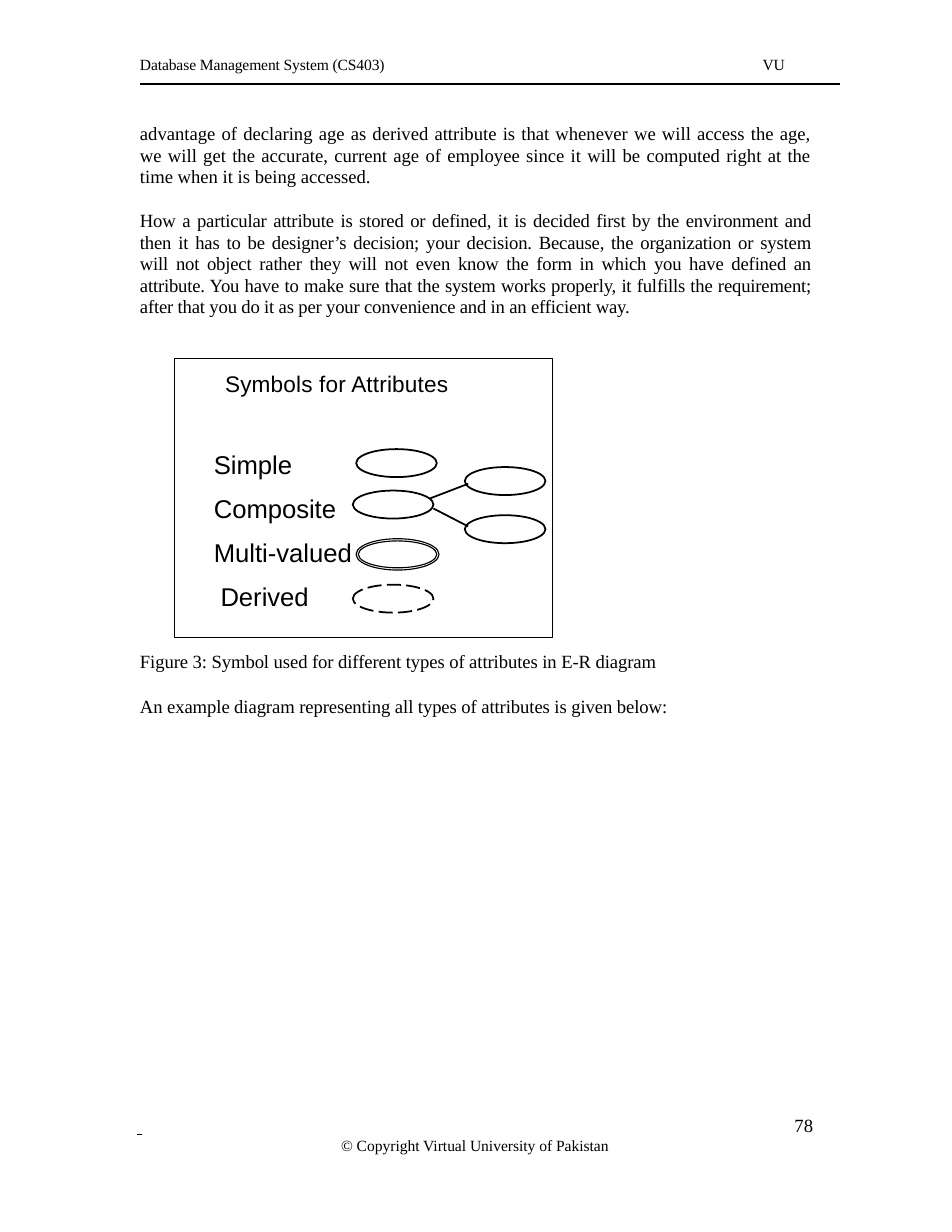
"""Build the page on symbols for attributes in E-R diagrams."""
from dataclasses import dataclass

from lxml import etree
from pptx import Presentation
from pptx.dml.color import RGBColor
from pptx.enum import dml, shapes, text
from pptx.oxml import ns
from pptx.util import Inches, Pt

INK = "000000"
SERIF = "Times New Roman"
SANS = "Arial"
LEFT = 1.25
OVAL_WIDTH, OVAL_HEIGHT = 0.72, 0.25


@dataclass
class Line:
    """One paragraph and its format."""
    content: str
    size: float = 12
    font: str = SERIF
    align: text.PP_ALIGN = text.PP_ALIGN.LEFT
    before: float = 0
    pitch: float | None = None
    indent: float = 0
    tracking: float = 0


@dataclass
class Oval:
    """One attribute symbol."""
    left: float
    top: float
    width: float = OVAL_WIDTH
    height: float = OVAL_HEIGHT
    weight: float = 1.12
    dash: dml.MSO_LINE | None = None


@dataclass
class Stroke:
    """One straight line."""
    x1: float
    y1: float
    x2: float
    y2: float
    weight: float = 1.12


def colour(value: str) -> RGBColor:
    """Turn a hex string into a colour."""
    return RGBColor.from_string(value)


def write(frame, lines: list[Line], top_inset: float = 0) -> None:
    """Fill a text frame with formatted paragraphs."""
    frame.word_wrap = True
    frame.vertical_anchor = text.MSO_ANCHOR.TOP
    frame.margin_left = frame.margin_right = frame.margin_bottom = 0
    frame.margin_top = Inches(top_inset)
    frame.text = "\n".join(line.content for line in lines)
    for para, line in zip(frame.paragraphs, lines):
        para.alignment = line.align
        if line.before:
            para.space_before = Pt(line.before)
        if line.pitch:
            para.line_spacing = Pt(line.pitch)
        if line.indent:
            para._p.get_or_add_pPr().set("marL", str(Inches(line.indent)))
        for span in para.runs:
            span.font.name = line.font
            span.font.size = Pt(line.size)
            span.font.color.rgb = colour(INK)
            if line.tracking:
                span._r.get_or_add_rPr().set("spc", str(round(line.tracking * 100)))


def add_text(page, left: float, top: float, width: float, height: float, lines: list[Line]) -> None:
    """Add a text box."""
    box = page.shapes.add_textbox(Inches(left), Inches(top), Inches(width), Inches(height))
    write(box.text_frame, lines)


def add_outline(page, kind: shapes.MSO_SHAPE, item: Oval):
    """Add an unfilled preset shape."""
    shape = page.shapes.add_shape(
        kind, Inches(item.left), Inches(item.top), Inches(item.width), Inches(item.height))
    shape.shadow.inherit = False
    shape.fill.background()
    shape.line.color.rgb = colour(INK)
    shape.line.width = Pt(item.weight)
    if item.dash:
        shape.line.dash_style = item.dash
    return shape


def add_stroke(page, stroke: Stroke) -> None:
    """Add a straight line without shadow."""
    line = page.shapes.add_connector(
        shapes.MSO_CONNECTOR.STRAIGHT, Inches(stroke.x1), Inches(stroke.y1),
        Inches(stroke.x2), Inches(stroke.y2))
    line.line.color.rgb = colour(INK)
    line.line.width = Pt(stroke.weight)
    etree.SubElement(line._element.spPr, ns.qn("a:effectLst"))


BODY = [
    Line("advantage of declaring age as derived attribute is that whenever we will access the age, "
         "we will get the accurate, current age of employee since it will be computed right at the "
         "time when it is being accessed.", align=text.PP_ALIGN.JUSTIFY, pitch=13.8),
    Line("How a particular attribute is stored or defined, it is decided first by the environment and "
         "then it has to be designer’s decision; your decision. Because, the organization or system "
         "will not object rather they will not even know the form in which you have defined an "
         "attribute. You have to make sure that the system works properly, it fulfills the requirement; "
         "after that you do it as per your convenience and in an efficient way.",
         align=text.PP_ALIGN.JUSTIFY, pitch=13.8, before=14.4, tracking=-0.1),
]
LABELS = [
    Line("Symbols for Attributes", 14.5, SANS, indent=0.45, tracking=0.1),
    Line("Simple", 16.5, SANS, before=25, pitch=28.3, indent=0.35),
    Line("Composite", 16.5, SANS, pitch=28.3, indent=0.35),
    Line("Multi-valued", 16.5, SANS, pitch=28.3, indent=0.35),
    Line("Derived", 16.5, SANS, pitch=28.3, indent=0.41),
]
CAPTION = [
    Line("Figure 3: Symbol used for different types of attributes in E-R diagram", tracking=-0.05),
    Line("An example diagram representing all types of attributes is given below:",
         before=14.5, tracking=-0.05),
]
FOOTER = [
    Line("78", align=text.PP_ALIGN.RIGHT, pitch=12.6),
    Line("© Copyright Virtual University of Pakistan", 10, align=text.PP_ALIGN.CENTER, pitch=11.5),
]
OVALS = [
    Oval(3.18, 4.01),
    Oval(3.15, 4.38),
    Oval(4.15, 4.17),
    Oval(4.15, 4.6),
    Oval(3.18, 4.81, 0.74, 0.28, 0.75),
    Oval(3.2, 4.83, 0.7, 0.24, 0.75),
    Oval(3.15, 5.22, dash=dml.MSO_LINE.LONG_DASH),
]
STROKES = [
    Stroke(LEFT, 0.75, 7.5, 0.75, 1),
    Stroke(3.84, 4.45, 4.18, 4.32),
    Stroke(3.87, 4.54, 4.18, 4.7),
    Stroke(1.22, 10.13, 1.27, 10.13, 0.6),
]


def main() -> None:
    """Build and save the page."""
    deck = Presentation()
    deck.slide_width, deck.slide_height = Inches(8.5), Inches(11)
    page = deck.slides.add_slide(deck.slide_layouts[6])
    add_text(page, LEFT, 0.49, 2.4, 0.18, [Line("Database Management System (CS403)", 10, tracking=-0.05)])
    add_text(page, 6.81, 0.49, 0.3, 0.18, [Line("VU", 10, tracking=-0.1)])
    add_text(page, LEFT, 1.1, 6, 1.73, BODY)
    for oval in OVALS:
        add_outline(page, shapes.MSO_SHAPE.OVAL, oval)
    for stroke in STROKES:
        add_stroke(page, stroke)
    panel = add_outline(page, shapes.MSO_SHAPE.RECTANGLE, Oval(1.56, 3.2, 3.37, 2.49, 0.28))
    write(panel.text_frame, LABELS, 0.1)
    add_text(page, 1.22, 9.97, 6.04, 0.35, FOOTER)
    add_text(page, LEFT, 5.8, 4.9, 0.6, CAPTION)
    deck.save("out.pptx")


if __name__ == "__main__":
    main()
